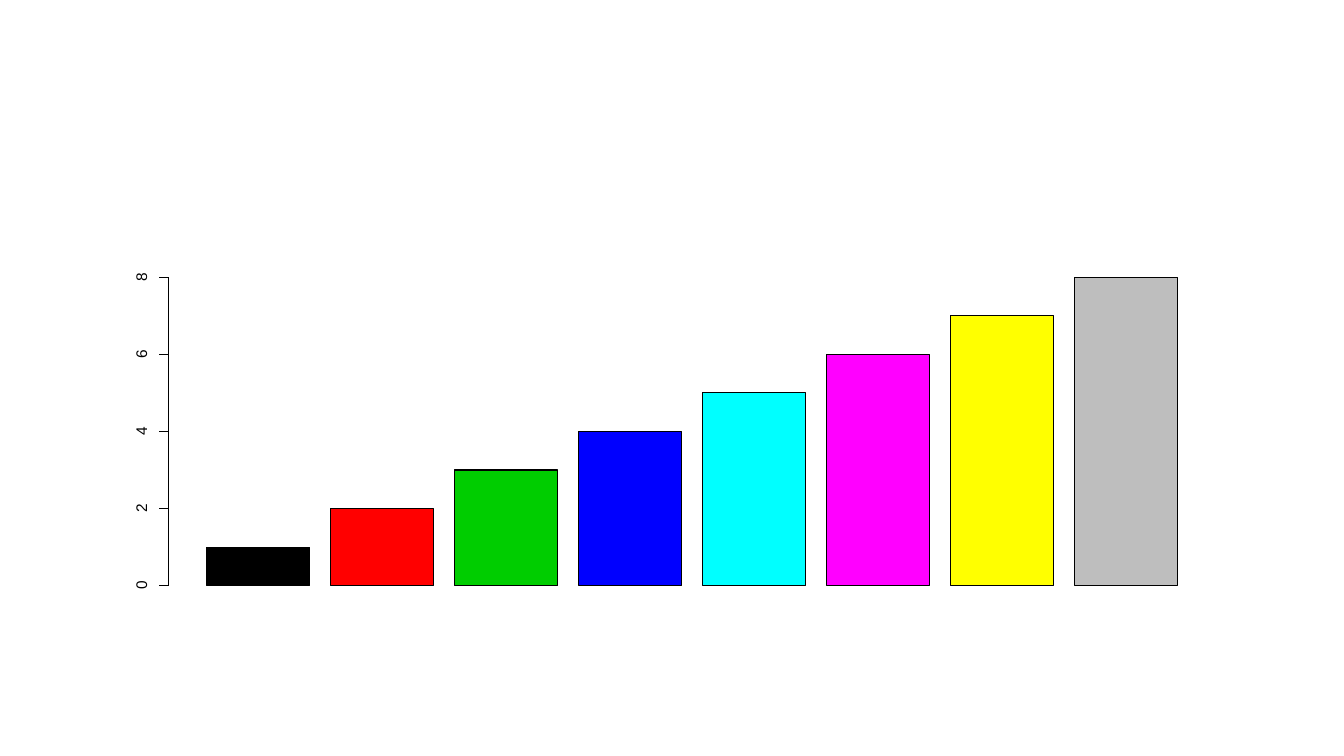
from pptx import Presentation
from pptx.dml.color import RGBColor
from pptx.enum.shapes import MSO_CONNECTOR as CONN, MSO_SHAPE as SHAPE
from pptx.enum.text import MSO_ANCHOR as ANCHOR, MSO_AUTO_SIZE as AUTO, PP_ALIGN as ALIGN
from pptx.oxml.ns import qn
from pptx.util import Inches, Pt
from lxml.etree import SubElement

COLORS = {
    "black": "000000", "red": "FF0000", "green": "00CD00", "blue": "0000FF",
    "cyan": "00FFFF", "magenta": "FF00FF", "yellow": "FFFF00", "gray": "BEBEBE",
}

# Plot geometry in inches
BASE, TOP, MAX_VALUE = 5.81, 2.75, 8
BAR_LEFT, BAR_WIDTH, BAR_STEP = 2.05, 1.02, 1.23
AXIS_X, TICK_LENGTH = 1.67, 0.09
LABEL_LEFT, LABEL_WIDTH, LABEL_HEIGHT = 1.33, 0.17, 0.15


def rgb(name):
    return RGBColor.from_string(COLORS[name])


def value_y(value):
    return BASE - value * (BASE - TOP) / MAX_VALUE


def write(tf, text, font="Arial", size=11, color="black", align=ALIGN.CENTER):
    p = tf.paragraphs[0]
    p.alignment = align
    p.line_spacing = Pt(size)
    r = p.add_run()
    r.text = text
    r.font.name = font
    r.font.size = Pt(size)
    r.font.color.rgb = rgb(color)


class BarPlot:
    def __init__(self, slide, line_color="black", line_width=0.75):
        self.shapes = slide.shapes
        self.line_color = line_color
        self.line_width = line_width

    def outline(self, s):
        s.line.color.rgb = rgb(self.line_color)
        s.line.width = Pt(self.line_width)

    def bar(self, left, value, color):
        y = value_y(value)
        s = self.shapes.add_shape(SHAPE.RECTANGLE, Inches(left), Inches(y),
                                  Inches(BAR_WIDTH), Inches(BASE - y))
        s.shadow.inherit = False
        s.fill.solid()
        s.fill.fore_color.rgb = rgb(color)
        self.outline(s)

    def line(self, x1, y1, x2, y2):
        s = self.shapes.add_connector(CONN.STRAIGHT, Inches(x1), Inches(y1),
                                      Inches(x2), Inches(y2))
        self.outline(s)
        SubElement(s._element.spPr, qn("a:effectLst"))

    def label(self, text, y):
        s = self.shapes.add_textbox(Inches(LABEL_LEFT), Inches(y - LABEL_HEIGHT / 2),
                                    Inches(LABEL_WIDTH), Inches(LABEL_HEIGHT))
        s.rotation = 270
        tf = s.text_frame
        tf.margin_left = tf.margin_right = tf.margin_top = tf.margin_bottom = 0
        tf.vertical_anchor = ANCHOR.BOTTOM
        tf.word_wrap = False
        tf.auto_size = AUTO.SHAPE_TO_FIT_TEXT
        write(tf, text)


def main():
    prs = Presentation()
    prs.slide_width, prs.slide_height = Inches(13.33), Inches(7.5)
    plot = BarPlot(prs.slides.add_slide(prs.slide_layouts[6]))

    # Bars
    for i, color in enumerate(COLORS):
        plot.bar(BAR_LEFT + i * BAR_STEP, i + 1, color)

    # Value axis with ticks and labels
    plot.line(AXIS_X, BASE, AXIS_X, TOP)
    for value in range(0, MAX_VALUE + 1, 2):
        y = value_y(value)
        plot.line(AXIS_X, y, AXIS_X - TICK_LENGTH, y)
        plot.label(str(value), y)

    prs.save("out.pptx")


if __name__ == "__main__":
    main()
